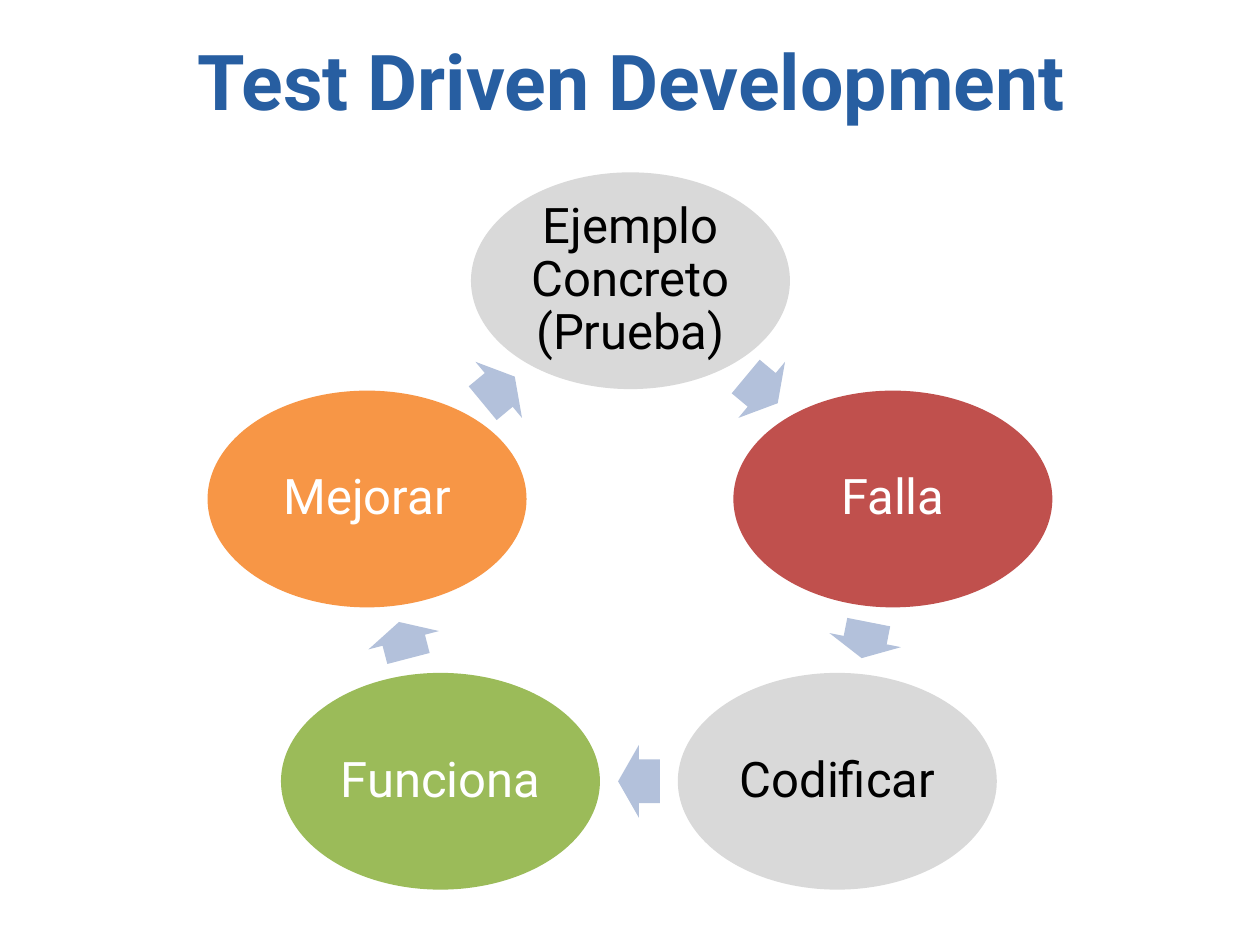
import math

from pptx import Presentation
from pptx.dml.color import RGBColor
from pptx.enum import shapes, text
from pptx.util import Cm, Pt

FONT = "Roboto"
BLUE, BLACK, WHITE = "275EA1", "000000", "FFFFFF"
GREY, RED, GREEN, ORANGE = "D9D9D9", "C0504D", "9BBB59", "F79646"
ARROW_COLOR = "B3C1DB"
STEP_WIDTH, STEP_HEIGHT = 6.43, 4.37
ARROW_HEIGHT = 1.47

# Wording, fill, text colour, centre x and y, length of the arrow to the next step
STEPS = [
    ("Ejemplo Concreto\v(Prueba)", GREY, BLACK, 12.71, 5.66, 0.84),
    ("Falla", RED, WHITE, 18.0, 10.06, 0.74),
    ("Codificar", GREY, BLACK, 16.88, 15.75, 0.84),
    ("Funciona", GREEN, WHITE, 8.88, 15.75, 0.76),
    ("Mejorar", ORANGE, WHITE, 7.4, 10.06, 0.84),
]


def color(value):
    """Turn a hex string into a colour."""
    return RGBColor.from_string(value)


def write(frame, wording, size=28, fill=BLACK, bold=False, spacing=1.0, inset=0.1):
    """Write one centred paragraph into a text frame."""
    frame.word_wrap = True
    frame.vertical_anchor = text.MSO_ANCHOR.MIDDLE
    frame.margin_left = frame.margin_right = Cm(inset)
    frame.margin_top = frame.margin_bottom = Cm(inset)
    frame.text = wording
    paragraph = frame.paragraphs[0]
    paragraph.alignment = text.PP_ALIGN.CENTER
    paragraph.line_spacing = spacing
    for run in paragraph.runs:
        run.font.name = FONT
        run.font.size = Pt(size)
        run.font.bold = bold
        run.font.color.rgb = color(fill)


def add_centred(slide, kind, x, y, width, height, fill):
    """Add a plain filled shape around a centre point."""
    shape = slide.shapes.add_shape(
        kind, Cm(x - width / 2), Cm(y - height / 2), Cm(width), Cm(height))
    shape.shadow.inherit = False
    shape.fill.solid()
    shape.fill.fore_color.rgb = color(fill)
    shape.line.fill.background()
    return shape


def add_title(slide, wording):
    """Add the slide heading."""
    heading = slide.shapes.add_textbox(Cm(1.3), Cm(0.61), Cm(22.86), Cm(2.01))
    write(heading.text_frame, wording, size=44, fill=BLUE, bold=True)


def add_step(slide, wording, fill, text_color, x, y):
    """Add one oval step of the cycle."""
    oval = add_centred(slide, shapes.MSO_SHAPE.OVAL, x, y,
                       STEP_WIDTH, STEP_HEIGHT, fill)
    write(oval.text_frame, wording, fill=text_color, spacing=0.9)


def add_arrow(slide, start, end, length):
    """Add a block arrow halfway between two centres, pointing at the second."""
    (x1, y1), (x2, y2) = start, end
    arrow = add_centred(slide, shapes.MSO_SHAPE.RIGHT_ARROW, (x1 + x2) / 2,
                        (y1 + y2) / 2, length, ARROW_HEIGHT, ARROW_COLOR)
    arrow.adjustments[0] = 0.6
    arrow.adjustments[1] = 0.5
    arrow.rotation = math.degrees(math.atan2(y2 - y1, x2 - x1)) % 360


def main():
    """Build the cycle slide and save it."""
    deck = Presentation()
    deck.slide_width, deck.slide_height = Cm(25.4), Cm(19.05)
    slide = deck.slides.add_slide(deck.slide_layouts[6])
    add_title(slide, "Test Driven Development")
    following = STEPS[1:] + STEPS[:1]
    for step, after in zip(STEPS, following):
        wording, fill, text_color, x, y, arrow_length = step
        add_step(slide, wording, fill, text_color, x, y)
        add_arrow(slide, (x, y), after[3:5], arrow_length)
    deck.save("out.pptx")


main()
